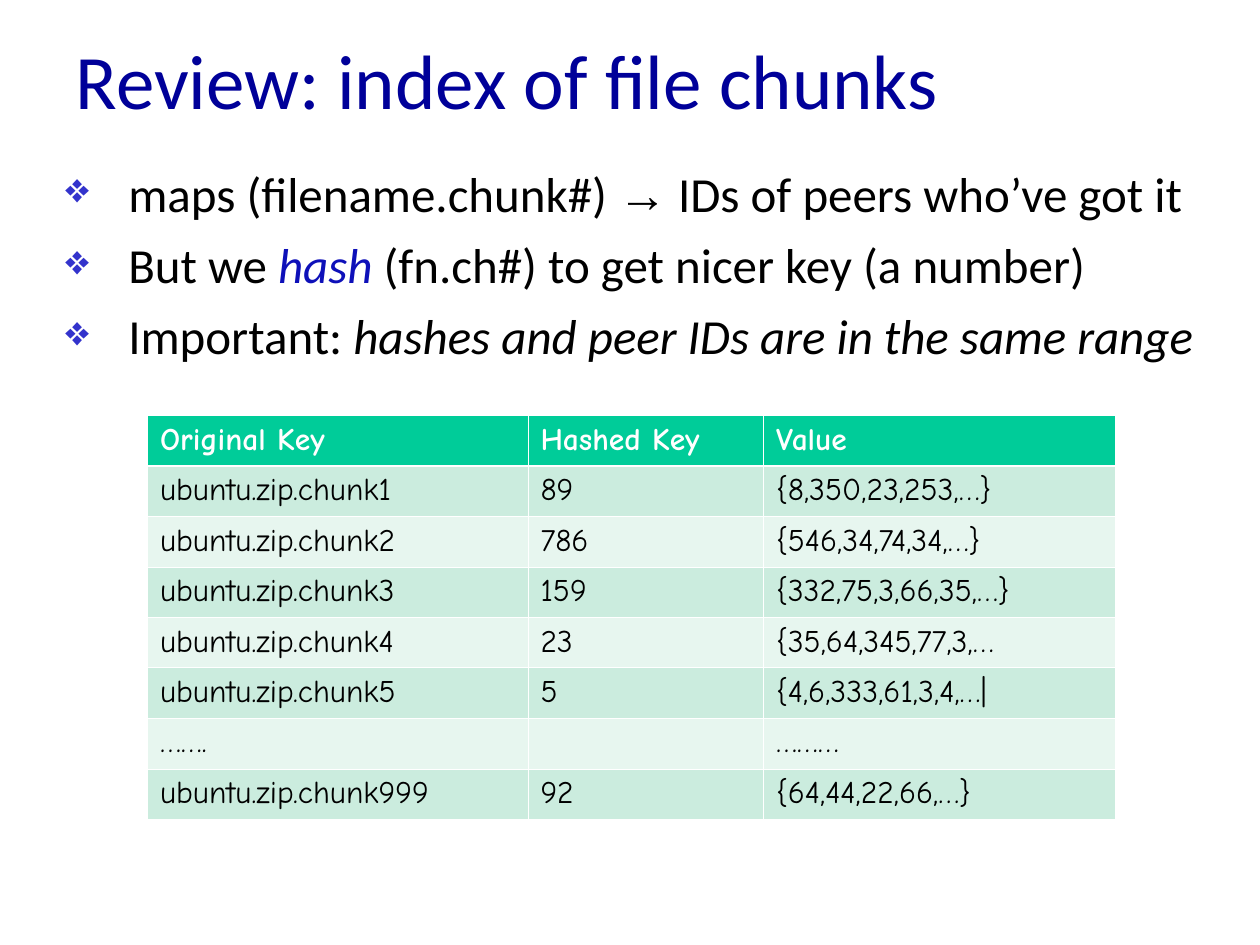
from dataclasses import dataclass

from pptx import Presentation
from pptx import util as u
from pptx.dml.color import RGBColor
from pptx.enum import text as t
from pptx.oxml import parse_xml
from pptx.oxml.ns import nsdecls

COLORS = {
    "title": "000099",
    "text": "000000",
    "hash": "0E10B9",
    "bullet": "3333CC",
    "white": "FFFFFF",
    "header": "00CC99",
    "odd": "CBECDE",
    "even": "E7F6EF",
}


@dataclass(frozen=True)
class Span:
    text: str
    color: str = "text"
    font: str = "Calibri"
    italic: bool = False


POINTS = [
    [
        Span("maps (filename.chunk#) "),
        Span("→", font="Arial"),
        Span(" IDs of peers who’ve got it"),
    ],
    [
        Span("But we "),
        Span("hash ", color="hash", italic=True),
        Span("(fn.ch#) to get nicer key (a number)"),
    ],
    [
        Span("Important: "),
        Span("hashes and peer IDs are in the same range", italic=True),
    ],
]

ROWS = [
    ("Original Key", "Hashed Key", "Value"),
    ("ubuntu.zip.chunk1", "89", "{8,350,23,253,…}"),
    ("ubuntu.zip.chunk2", "786", "{546,34,74,34,…}"),
    ("ubuntu.zip.chunk3", "159", "{332,75,3,66,35,…}"),
    ("ubuntu.zip.chunk4", "23", "{35,64,345,77,3,…"),
    ("ubuntu.zip.chunk5", "5", "{4,6,333,61,3,4,…|"),
    ("…….", "", "………"),
    ("ubuntu.zip.chunk999", "92", "{64,44,22,66,…}"),
]
COLUMN_WIDTHS = [3.02, 1.87, 2.79]
ROW_HEIGHT = 0.4
THIN, THICK = 0.45, 1.47


def add_text(para, content: str, *, size: float, color: str,
             font: str = "Calibri", bold: bool = False, italic: bool = False) -> None:
    span = para.add_run()
    span.text = content
    span.font.size = u.Pt(size)
    span.font.name = font
    span.font.bold = bold
    span.font.italic = italic
    span.font.color.rgb = RGBColor.from_string(COLORS[color])


def add_bullet(para) -> None:
    properties = para._p.get_or_add_pPr()
    properties.set("marL", str(u.Inches(0.5)))
    properties.set("indent", str(u.Inches(-0.5)))
    for element in (
        f'<a:buClr {nsdecls("a")}><a:srgbClr val="{COLORS["bullet"]}"/></a:buClr>',
        f'<a:buSzPct {nsdecls("a")} val="85000"/>',
        f'<a:buChar {nsdecls("a")} char="❖"/>',
    ):
        properties.append(parse_xml(element))


def set_borders(cell, top: float, bottom: float) -> None:
    properties = cell._tc.get_or_add_tcPr()
    for side, width in (("L", THIN), ("R", THIN), ("T", top), ("B", bottom)):
        properties.append(parse_xml(
            f'<a:ln{side} {nsdecls("a")} w="{u.Pt(width)}"><a:solidFill>'
            f'<a:srgbClr val="{COLORS["white"]}"/></a:solidFill></a:ln{side}>'
        ))


def add_title(slide) -> None:
    title = slide.shapes.title
    title.left, title.top = u.Inches(0.5), u.Inches(0)
    title.width, title.height = u.Inches(9), u.Inches(1.25)
    title.text_frame.vertical_anchor = t.MSO_ANCHOR.MIDDLE
    para = title.text_frame.paragraphs[0]
    para.alignment = t.PP_ALIGN.LEFT
    add_text(para, "Review: index of file chunks", size=44, color="title")


def add_points(slide, points: list[list[Span]]) -> None:
    box = slide.shapes.add_textbox(
        u.Inches(0.42), u.Inches(1.25), u.Inches(9.22), u.Inches(3.1))
    frame = box.text_frame
    frame.word_wrap = True
    for index, spans in enumerate(points):
        para = frame.add_paragraph() if index else frame.paragraphs[0]
        add_bullet(para)
        para.space_before = u.Pt(7 if index else 0)
        for span in spans:
            add_text(para, span.text, size=28, color=span.color,
                     font=span.font, italic=span.italic)


def add_chunk_table(slide, rows: list[tuple[str, ...]]) -> None:
    table = slide.shapes.add_table(
        len(rows), len(COLUMN_WIDTHS), u.Inches(1.17), u.Inches(3.3),
        u.Inches(sum(COLUMN_WIDTHS)), u.Inches(ROW_HEIGHT * len(rows))).table
    for column, width in zip(table.columns, COLUMN_WIDTHS):
        column.width = u.Inches(width)
    for i, values in enumerate(rows):
        table.rows[i].height = u.Inches(ROW_HEIGHT)
        header = i == 0
        fill = "header" if header else "odd" if i % 2 else "even"
        for j, value in enumerate(values):
            cell = table.cell(i, j)
            set_borders(cell, THICK if i == 1 else THIN, THICK if header else THIN)
            cell.fill.solid()
            cell.fill.fore_color.rgb = RGBColor.from_string(COLORS[fill])
            if value:
                add_text(cell.text_frame.paragraphs[0], value, size=18,
                         color="white" if header else "text",
                         font="Comic Neue", bold=header)


def main() -> None:
    deck = Presentation()
    deck.slide_width, deck.slide_height = u.Inches(10), u.Inches(7.5)
    slide = deck.slides.add_slide(deck.slide_layouts.get_by_name("Title Only"))
    add_chunk_table(slide, ROWS)
    add_points(slide, POINTS)
    add_title(slide)
    deck.save("out.pptx")


if __name__ == "__main__":
    main()
